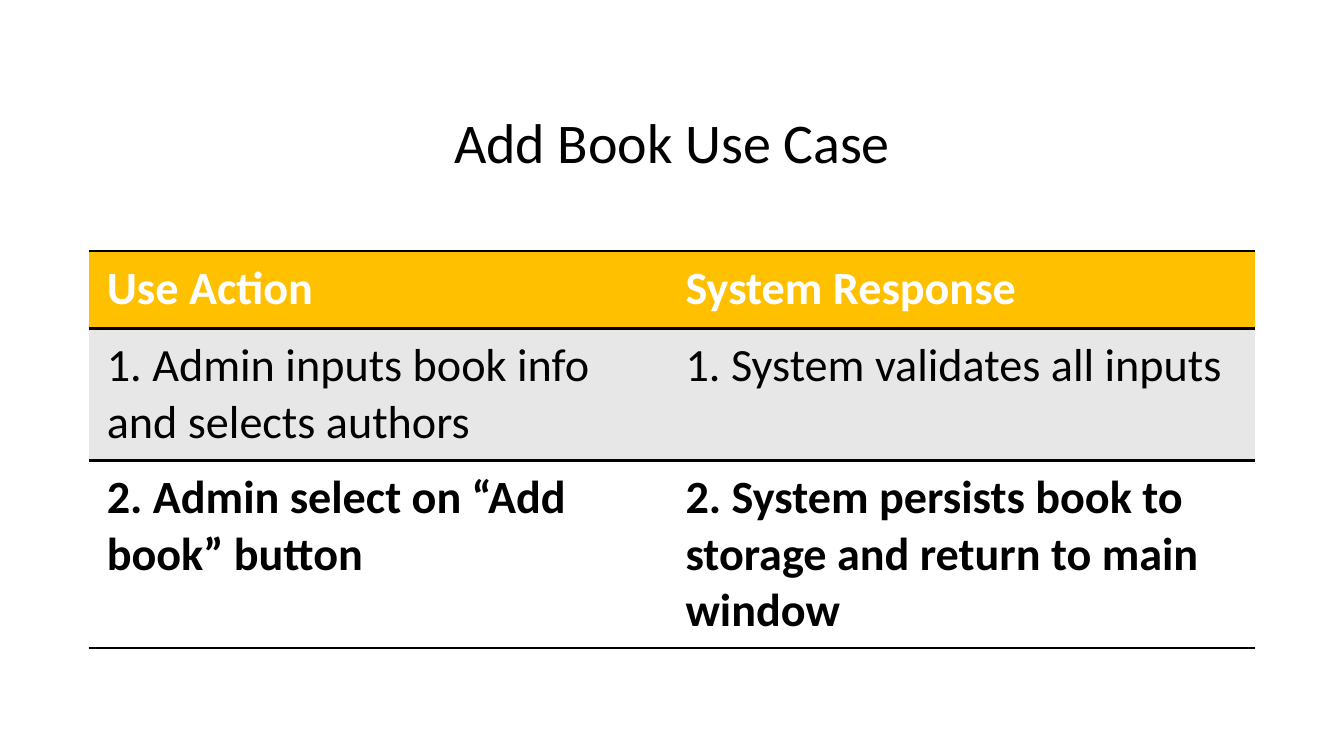
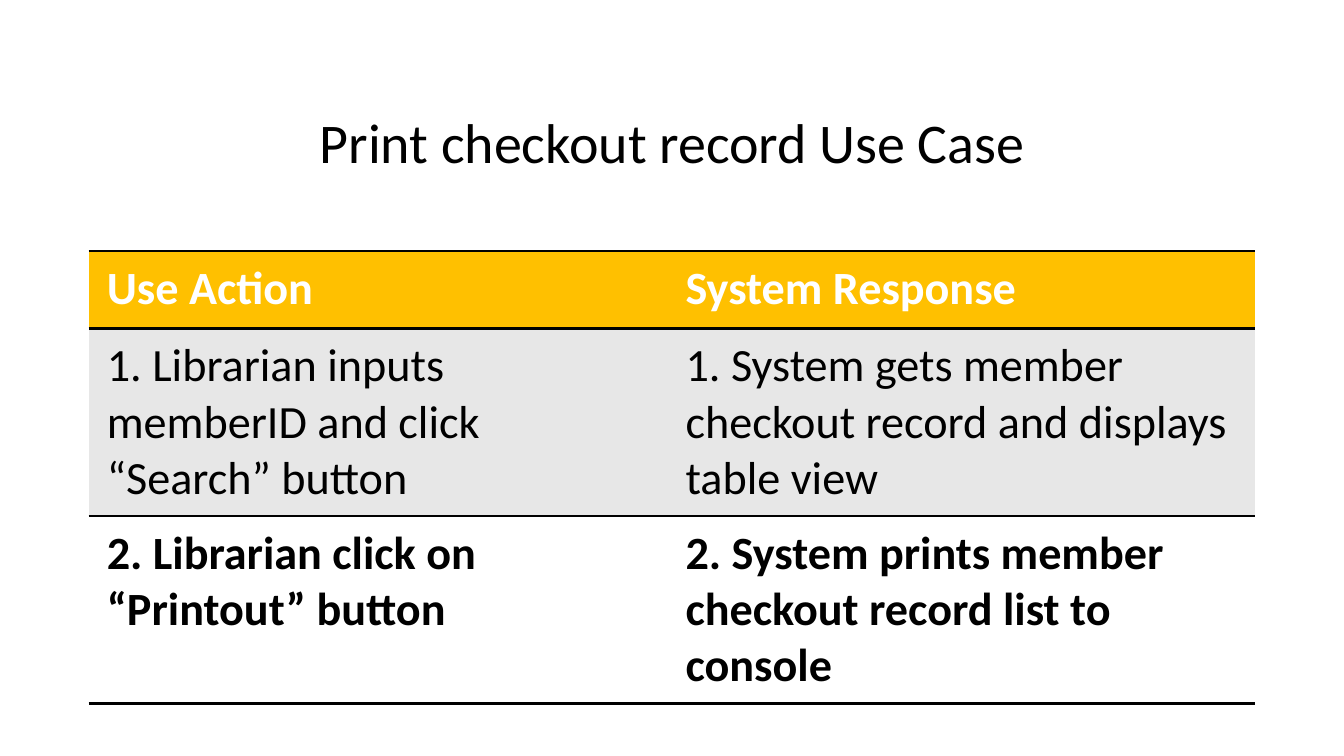
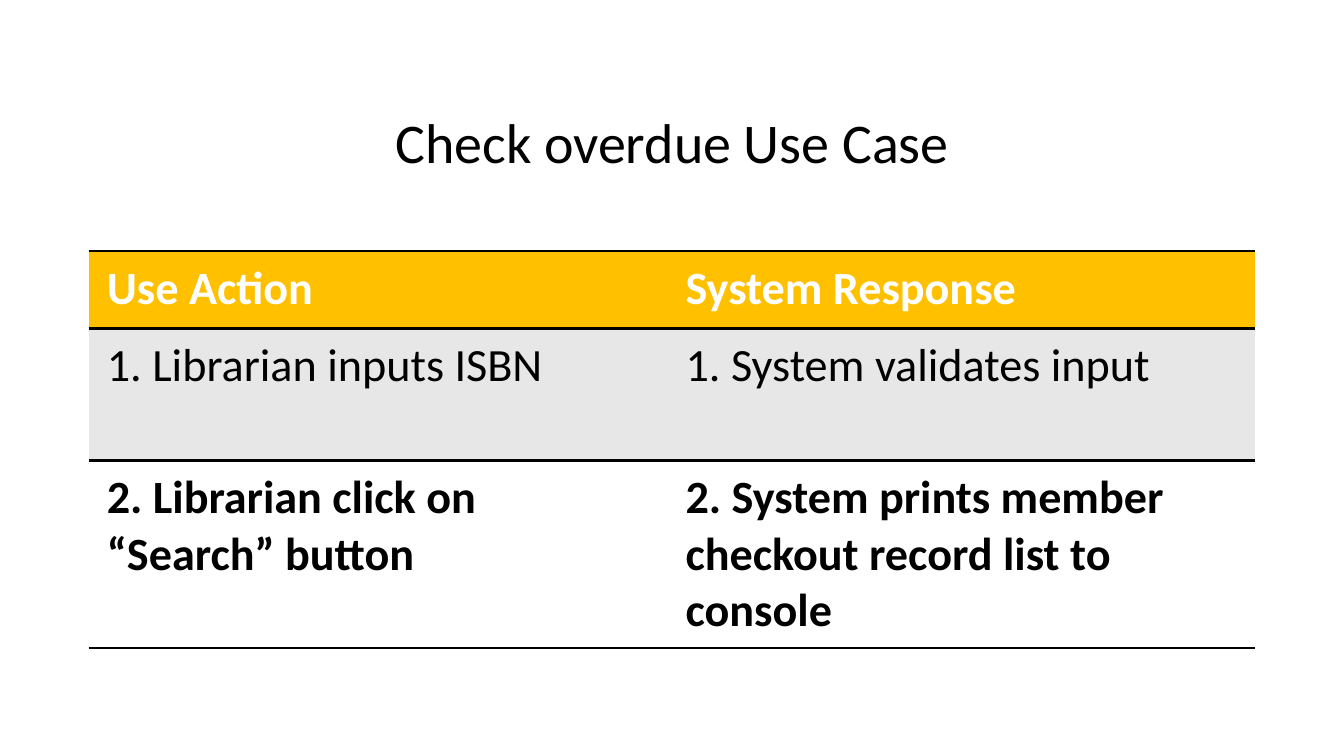
"""Build three library use case slides, each with a title and an action/response table."""
from lxml import etree
from pptx import Presentation
from pptx.dml.color import RGBColor
from pptx.enum.text import MSO_ANCHOR, PP_ALIGN
from pptx.oxml.ns import qn
from pptx.util import Inches, Pt

CENTER = PP_ALIGN.CENTER
MIDDLE = MSO_ANCHOR.MIDDLE

FONT = "Calibri"
BLACK, WHITE, AMBER, GRAY = "000000", "FFFFFF", "FFC000", "E7E7E7"
PLAIN_TABLE_STYLE = "{2D5ABB26-0587-4C30-8999-92F81FD0307C}"

HEADER = ("Use Action", "System Response")
USE_CASES = [
    {
        "title": "Add Book Use Case",
        "steps": [
            ("1. Admin inputs book info and selects authors",
             "1. System validates all inputs"),
            ("2. Admin select on “Add book” button",
             "2. System persists book to storage and return to main window"),
        ],
        "row_heights": (0.77, 1.31, 1.86),
    },
    {
        "title": "Print checkout record Use Case",
        "steps": [
            ("1. Librarian inputs memberID and click “Search” button",
             "1. System gets member checkout record and displays table view"),
            ("2. Librarian click on “Printout” button",
             "2. System prints member checkout record list to console"),
        ],
        "row_heights": (0.77, 1.86, 1.86),
    },
    {
        "title": "Check overdue Use Case",
        "steps": [
            ("1. Librarian inputs ISBN",
             "1. System validates input"),
            ("2. Librarian click on “Search” button",
             "2. System prints member checkout record list to console"),
        ],
        "row_heights": (0.77, 1.31, 1.86),
    },
]

COLUMN_WIDTHS = (5.74, 5.83)
ROW_STYLES = [
    {"fill": AMBER, "color": WHITE, "bold": True, "borders": ("a:lnT", "a:lnB")},
    {"fill": GRAY, "color": BLACK, "bold": False, "borders": ("a:lnT",)},
    {"fill": WHITE, "color": BLACK, "bold": True, "borders": ("a:lnB",)},
]


def rgb(value):
    return RGBColor.from_string(value)


def write(text_frame, text, size, color, bold=False):
    text_frame.text = text
    font = text_frame.paragraphs[0].runs[0].font
    font.name, font.size, font.bold = FONT, Pt(size), bold
    font.color.rgb = rgb(color)


def add_border(cell, tag):
    properties = cell._tc.get_or_add_tcPr()
    line = etree.SubElement(properties, qn(tag), w=str(Pt(2)))
    fill = etree.SubElement(line, qn("a:solidFill"))
    etree.SubElement(fill, qn("a:srgbClr"), val=BLACK)


def add_title(slide, text):
    box = slide.shapes.add_textbox(Inches(1.92), Inches(0.87), Inches(9.49), Inches(1.15))
    frame = box.text_frame
    frame.word_wrap = True
    frame.vertical_anchor = MIDDLE
    write(frame, text, 40, BLACK)
    frame.paragraphs[0].alignment = CENTER
    frame.paragraphs[0].line_spacing = 0.9


def style_cell(cell, text, style):
    cell.margin_left = cell.margin_right = Inches(0.18)
    cell.margin_top = cell.margin_bottom = Inches(0.09)
    write(cell.text_frame, text, 33, style["color"], style["bold"])
    for tag in style["borders"]:
        add_border(cell, tag)
    cell.fill.solid()
    cell.fill.fore_color.rgb = rgb(style["fill"])


def add_steps_table(slide, steps, row_heights):
    rows = [HEADER, *steps]
    frame = slide.shapes.add_table(
        len(rows), len(HEADER), Inches(0.88), Inches(2.49),
        Inches(sum(COLUMN_WIDTHS)), Inches(sum(row_heights)))
    table = frame.table
    table.horz_banding = False
    table._tbl.tblPr.find(qn("a:tableStyleId")).text = PLAIN_TABLE_STYLE
    for column, width in zip(table.columns, COLUMN_WIDTHS):
        column.width = Inches(width)
    for row, height, texts, style in zip(table.rows, row_heights, rows, ROW_STYLES):
        row.height = Inches(height)
        for cell, text in zip(row.cells, texts):
            style_cell(cell, text, style)


def main():
    presentation = Presentation()
    presentation.slide_width = Inches(13.33)
    presentation.slide_height = Inches(7.5)
    blank_layout = presentation.slide_layouts[6]
    for use_case in USE_CASES:
        slide = presentation.slides.add_slide(blank_layout)
        add_title(slide, use_case["title"])
        add_steps_table(slide, use_case["steps"], use_case["row_heights"])
    presentation.save("out.pptx")


if __name__ == "__main__":
    main()
